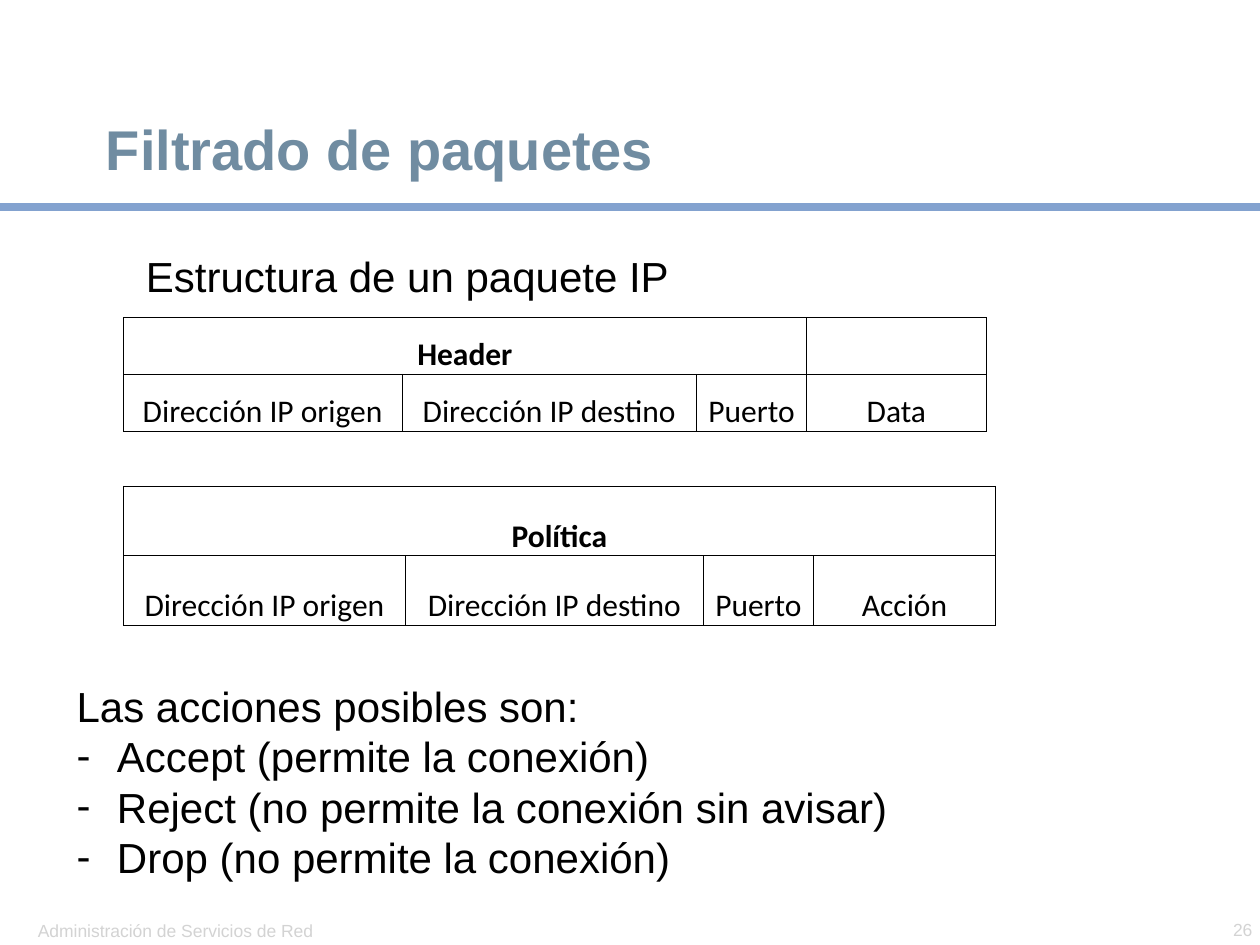
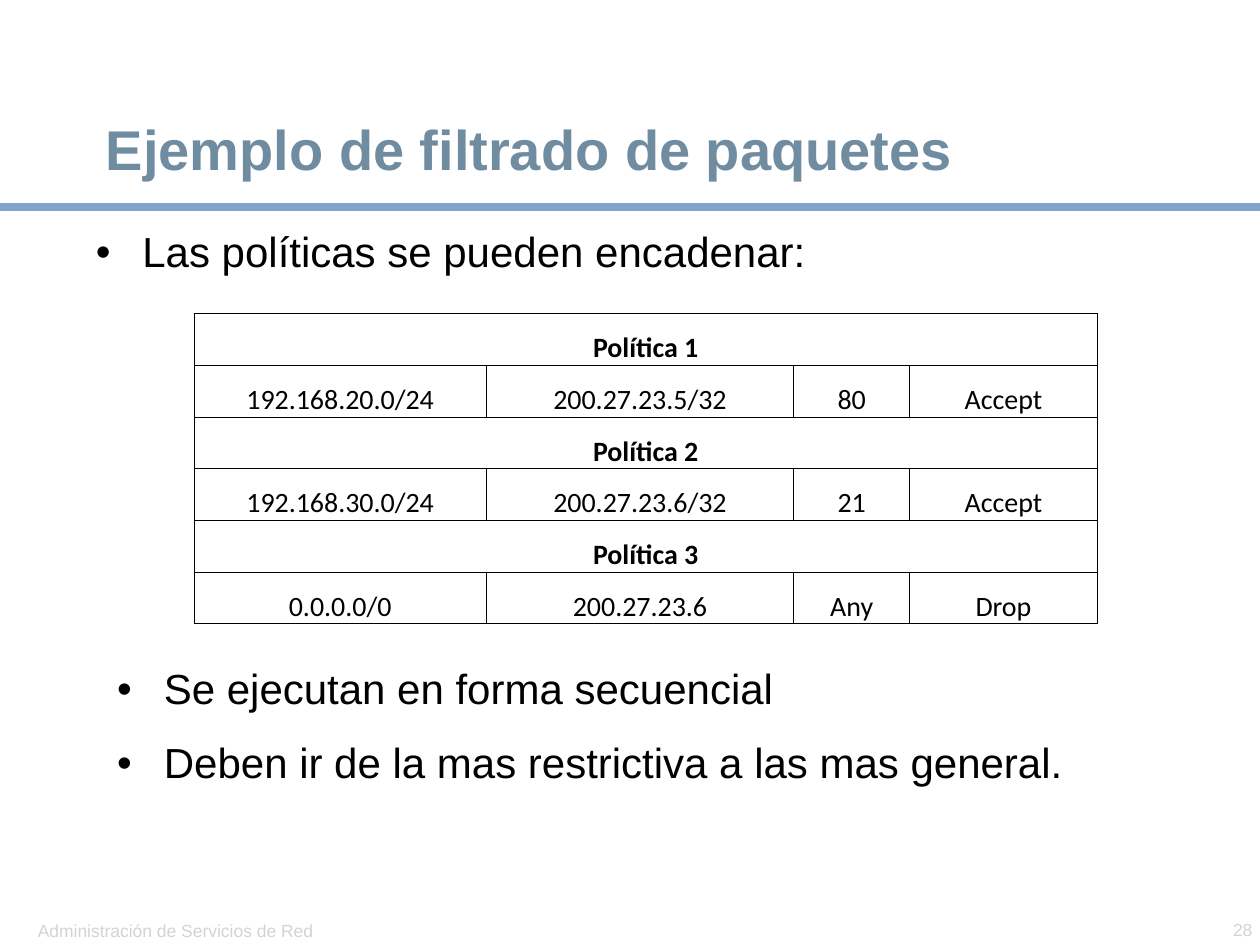
from lxml.etree import SubElement
from pptx import Presentation
from pptx.dml.color import RGBColor
from pptx.enum.shapes import MSO_CONNECTOR
from pptx.enum.text import MSO_ANCHOR, PP_ALIGN
from pptx.oxml.ns import qn
from pptx.util import Inches, Pt

# Shared look
TITLE_BLUE = RGBColor(0x70, 0x8C, 0xA1)
RULE_BLUE = RGBColor(0x83, 0xA2, 0xCF)
FOOTER_GRAY = RGBColor(0xD3, 0xD3, 0xD3)
BLACK = RGBColor(0, 0, 0)
BODY_FONT, TABLE_FONT = "Arial", "Calibri"
TIGHT = (0.09, 0.04, 0.09, 0.04)
ROOMY = (0.1, 0.05, 0.1, 0.05)
CELL = (0.01, 0.01, 0.01, 0)


def set_insets(owner, insets):
    left, top, right, bottom = map(Inches, insets)
    owner.margin_left, owner.margin_top = left, top
    owner.margin_right, owner.margin_bottom = right, bottom


def add_run(paragraph, text, size, color=BLACK, bold=False, font=BODY_FONT):
    run = paragraph.add_run()
    run.text = text
    run.font.name, run.font.size, run.font.bold = font, Pt(size), bold
    run.font.color.rgb = color


def set_bullet(paragraph, mark, indent):
    props = paragraph._p.get_or_add_pPr()
    props.set("marL", str(Inches(indent)))
    props.set("indent", str(-Inches(indent)))
    color = SubElement(props, qn("a:buClr"))
    SubElement(color, qn("a:srgbClr"), val=str(BLACK))
    SubElement(props, qn("a:buFont"), typeface=BODY_FONT)
    SubElement(props, qn("a:buChar"), char=mark)


def add_text_frame(slide, box, insets, anchor=MSO_ANCHOR.TOP):
    frame = slide.shapes.add_textbox(*map(Inches, box)).text_frame
    frame.word_wrap = True
    frame.vertical_anchor = anchor
    set_insets(frame, insets)
    return frame


def add_line_of_text(slide, box, text, size, color=BLACK, bold=False,
                     insets=TIGHT, align=PP_ALIGN.LEFT, anchor=MSO_ANCHOR.BOTTOM):
    paragraph = add_text_frame(slide, box, insets, anchor).paragraphs[0]
    paragraph.alignment = align
    add_run(paragraph, text, size, color, bold)
    return paragraph


def add_bullets(slide, box, points):
    frame = add_text_frame(slide, box, TIGHT)
    for index, point in enumerate(points):
        paragraph = frame.add_paragraph() if index else frame.paragraphs[0]
        paragraph.line_spacing = 0.95
        paragraph.space_before = Pt(15)
        set_bullet(paragraph, "•", 0.37)
        add_run(paragraph, point, 24)


def add_actions(slide, box, heading, actions):
    frame = add_text_frame(slide, box, ROOMY)
    add_run(frame.paragraphs[0], heading, 24)
    for action in actions:
        paragraph = frame.add_paragraph()
        set_bullet(paragraph, "-", 0.32)
        add_run(paragraph, action, 24)


def add_borders(cell):
    props = cell._tc.get_or_add_tcPr()
    for side in ("lnL", "lnR", "lnT", "lnB"):
        border = SubElement(props, qn(f"a:{side}"), w=str(Pt(0.5)))
        fill = SubElement(border, qn("a:solidFill"))
        SubElement(fill, qn("a:srgbClr"), val=str(BLACK))


def add_packet_table(slide, left, top, widths, row_height, rows, size):
    """Each row is (texts, span); a span above 1 makes a bold heading."""
    table = slide.shapes.add_table(
        len(rows), len(widths), Inches(left), Inches(top),
        Inches(sum(widths)), Inches(row_height * len(rows))).table
    table.first_row = table.horz_banding = False
    for column, width in zip(table.columns, widths):
        column.width = Inches(width)
    for r, (texts, span) in enumerate(rows):
        table.rows[r].height = Inches(row_height)
        for c in range(len(widths)):
            cell = table.cell(r, c)
            add_borders(cell)
            cell.fill.background()
            set_insets(cell, CELL)
            cell.vertical_anchor = MSO_ANCHOR.BOTTOM
            if c < len(texts):
                paragraph = cell.text_frame.paragraphs[0]
                paragraph.alignment = PP_ALIGN.CENTER
                add_run(paragraph, texts[c], size, bold=span > 1, font=TABLE_FONT)
        if span > 1:
            table.cell(r, 0).merge(table.cell(r, span - 1))


def add_base_slide(deck, title, number):
    slide = deck.slides.add_slide(deck.slide_layouts[6])
    # Footer
    add_line_of_text(slide, (0.21, 7.25, 2.58, 0.26),
                     "Administración de Servicios de Red", 10, FOOTER_GRAY)
    add_line_of_text(slide, (9.22, 7.24, 0.81, 0.26), number, 10, FOOTER_GRAY,
                     align=PP_ALIGN.RIGHT)
    # Rule under the title
    rule = slide.shapes.add_connector(MSO_CONNECTOR.STRAIGHT, 0, Inches(1.64),
                                      Inches(10), Inches(1.64))
    rule.line.color.rgb, rule.line.width = RULE_BLUE, Pt(4.5)
    SubElement(rule._element.spPr, qn("a:effectLst"))
    # Title
    heading = add_line_of_text(slide, (0.75, 0.44, 8.89, 1.05), title, 32,
                               TITLE_BLUE, bold=True)
    heading.line_spacing = 0.9
    return slide


def build_filtering(deck):
    slide = add_base_slide(deck, "Filtrado de paquetes", "26")
    addresses = ["Dirección IP origen", "Dirección IP destino", "Puerto"]
    # Packet and policy structure
    add_packet_table(slide, 0.98, 2.52, (2.21, 2.34, 0.87, 1.43), 0.45,
                     [(["Header"], 3), (addresses + ["Data"], 1)], 18)
    add_packet_table(slide, 0.98, 3.86, (2.24, 2.36, 0.88, 1.44), 0.55,
                     [(["Política"], 4), (addresses + ["Acción"], 1)], 18)
    # Possible actions
    add_actions(slide, (0.51, 5.35, 7.72, 2.02), "Las acciones posibles son:",
                ["Accept (permite la conexión)",
                 "Reject (no permite la conexión sin avisar)",
                 "Drop (no permite la conexión)"])
    add_line_of_text(slide, (1.06, 1.94, 7.64, 0.5), "Estructura de un paquete IP",
                     24, insets=ROOMY, anchor=MSO_ANCHOR.TOP)


def build_example(deck):
    slide = add_base_slide(deck, "Ejemplo de filtrado de paquetes", "28")
    add_bullets(slide, (0.67, 1.78, 8.88, 0.79), ["Las políticas se pueden encadenar:"])
    # Chained policies
    policies = [["192.168.20.0/24", "200.27.23.5/32", "80", "Accept"],
                ["192.168.30.0/24", "200.27.23.6/32", "21", "Accept"],
                ["0.0.0.0/0", "200.27.23.6", "Any", "Drop"]]
    rows = []
    for order, policy in enumerate(policies, 1):
        rows += [([f"Política {order}"], 4), (policy, 1)]
    add_packet_table(slide, 1.54, 2.49, (2.32, 2.44, 0.92, 1.49), 0.41, rows, 16)
    # Rules of order
    add_bullets(slide, (0.84, 5.25, 8.88, 0.79),
                ["Se ejecutan en forma secuencial",
                 "Deben ir de la mas restrictiva a las mas general."])


def main():
    deck = Presentation()
    deck.slide_width, deck.slide_height = Inches(10), Inches(7.5)
    build_filtering(deck)
    build_example(deck)
    deck.save("out.pptx")


if __name__ == "__main__":
    main()
